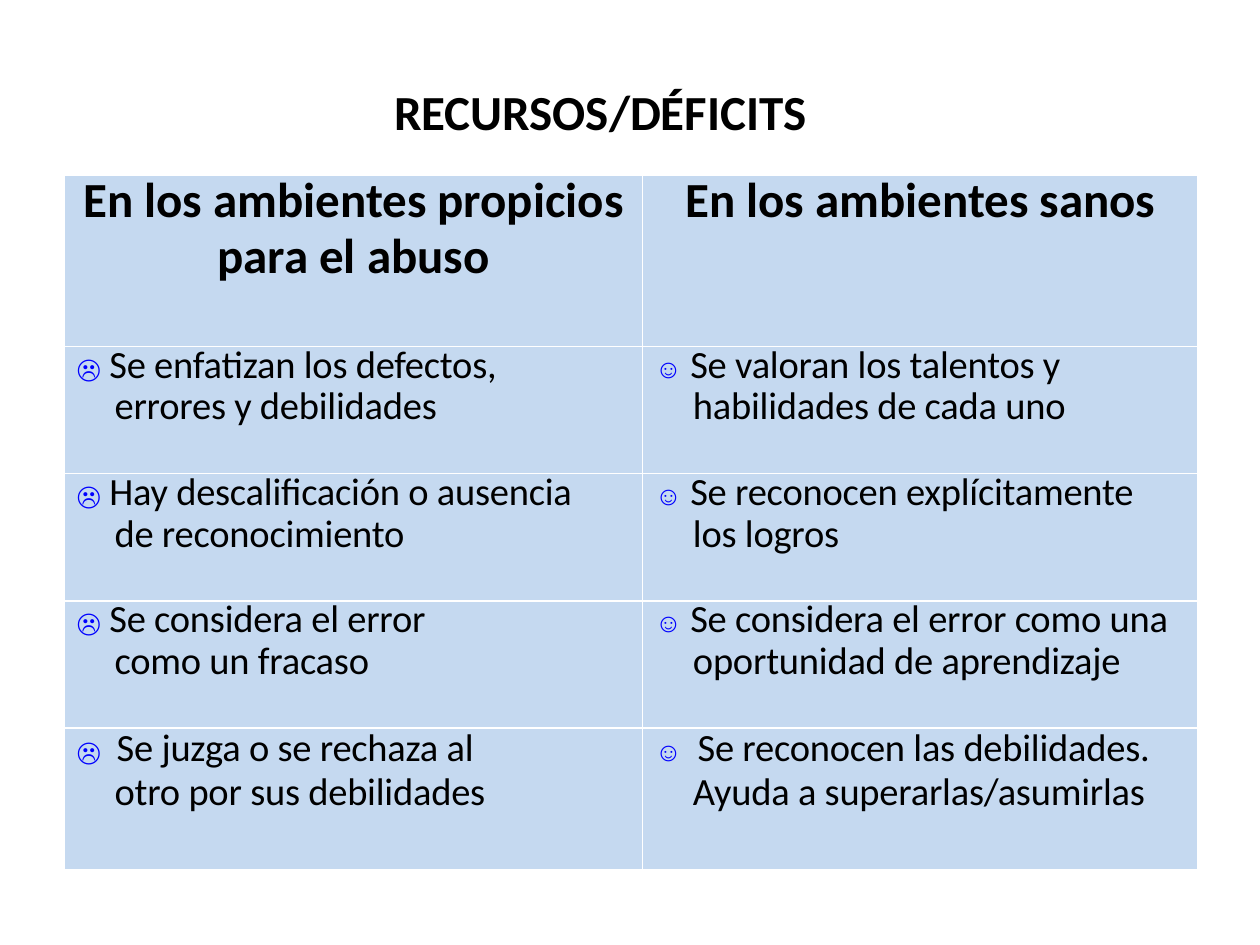
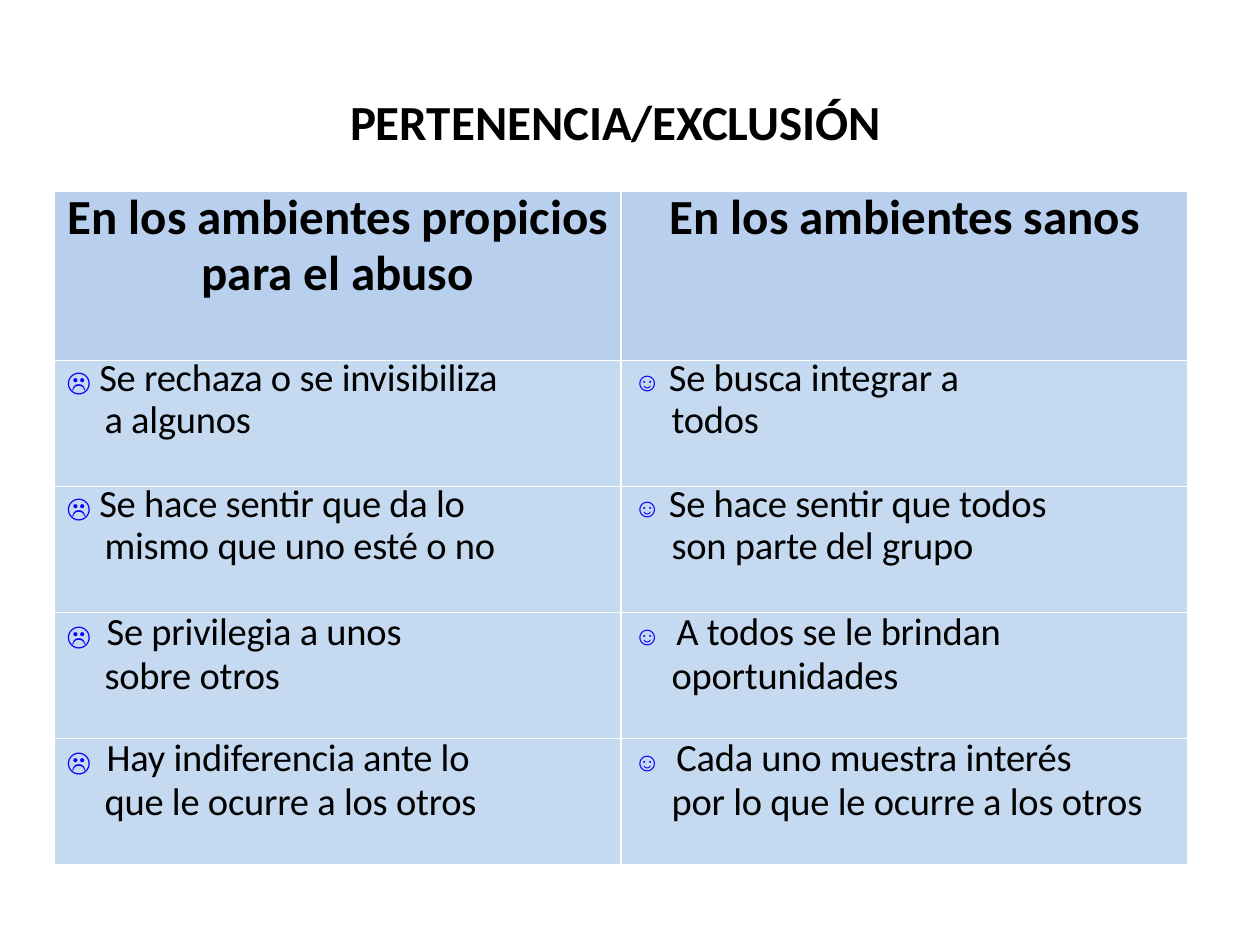
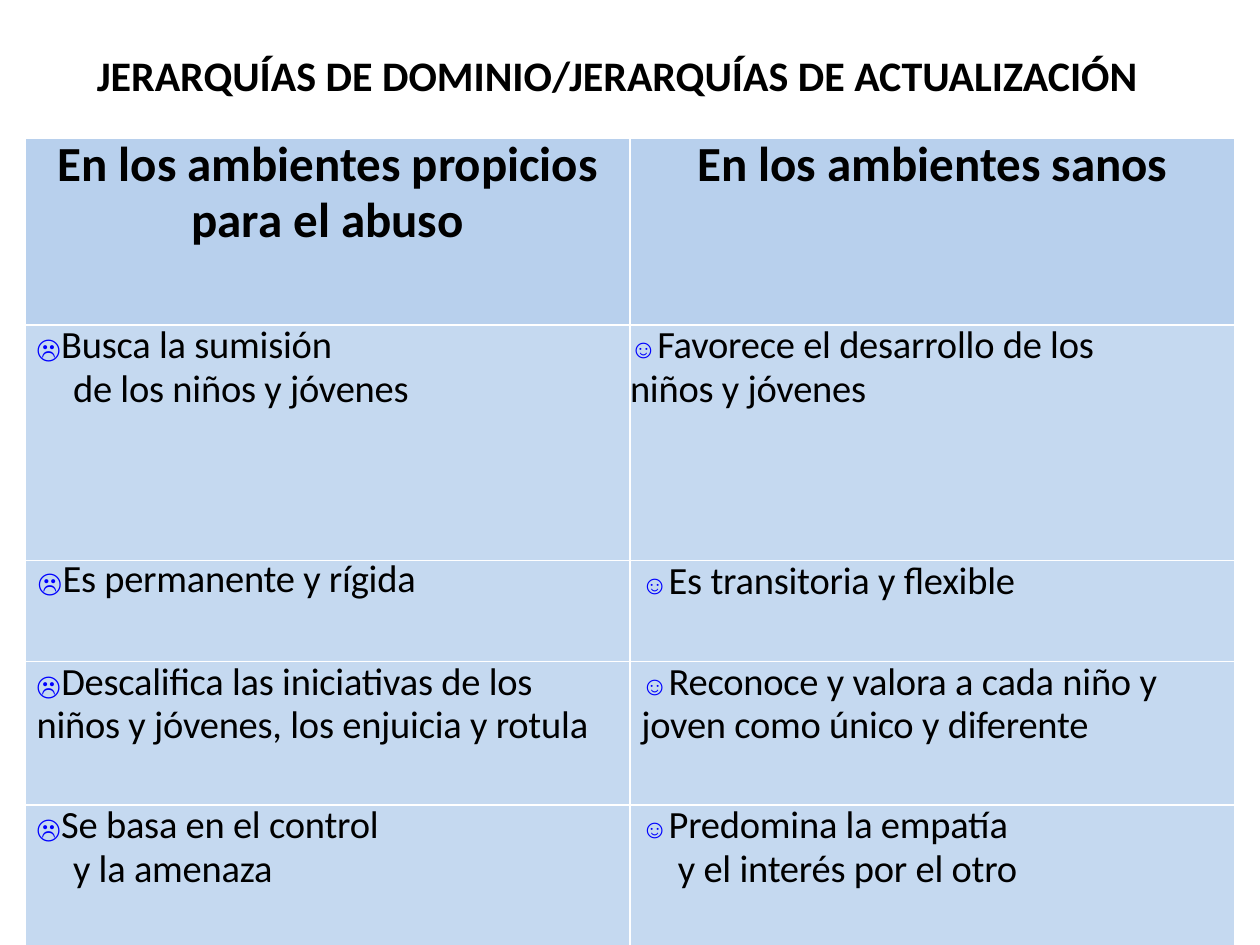
"""Builds three slides that compare abusive and healthy environments in tables."""
from dataclasses import dataclass

import pptx
import pptx.dml.color
import pptx.enum.text
import pptx.oxml
import pptx.oxml.ns
import pptx.util

Inches, Pt = pptx.util.Inches, pptx.util.Pt
RGBColor = pptx.dml.color.RGBColor
ALIGN = pptx.enum.text.PP_ALIGN

BLACK = RGBColor(0x00, 0x00, 0x00)
WHITE = RGBColor(0xFF, 0xFF, 0xFF)
ICON_BLUE = RGBColor(0x00, 0x00, 0xFF)
PALE_BLUE = RGBColor(0xC5, 0xD9, 0xF0)
HEADER_BLUE = RGBColor(0xB8, 0xD0, 0xED)

HEADERS = ("En los ambientes propicios para el abuso", "En los ambientes sanos")
ICONS = ("☹", "☺")


@dataclass
class CellStyle:
    """Indents in inches, line pitch in points, and the gap after the icon."""
    first: float
    rest: float
    line: float = 25.1
    space: str = ""
    tracking: float = 0.3


TIGHT = CellStyle(0.1, 0.4, 23.9, " ")
LOOSE = CellStyle(0.1, 0.4, 25.1, " ", 2.4)
CLOSE = CellStyle(0.1, 0.4, 23.9)
DEEP = CellStyle(0.09, 0.38)
FLAT = CellStyle(0.09, 0.09)
EDGE = CellStyle(0, 0)

SLIDES = [
    dict(
        title="RECURSOS/DÉFICITS", title_box=(3.03, 0.6, 3.62, 0.57),
        title_size=28, title_align=ALIGN.LEFT,
        origin=(0.51, 1.39), widths=(4.59, 4.41), header=(1.36, PALE_BLUE),
        rows=[
            (1.01, (TIGHT, "Se enfatizan los defectos,\nerrores y debilidades"),
             (TIGHT, "Se valoran los talentos y\nhabilidades de cada uno")),
            (1.01, (TIGHT, "Hay descalificación o ausencia\nde reconocimiento"),
             (TIGHT, "Se reconocen explícitamente\nlos logros")),
            (1.01, (TIGHT, "Se considera el error\ncomo un fracaso"),
             (TIGHT, "Se considera el error como una\noportunidad de aprendizaje")),
            (1.12, (LOOSE, "Se juzga o se rechaza al\notro por sus debilidades"),
             (LOOSE, "Se reconocen las debilidades.\nAyuda a superarlas/asumirlas")),
        ]),
    dict(
        title="PERTENENCIA/EXCLUSIÓN", title_box=(2.01, 0.68, 5.75, 0.57),
        title_size=28, title_align=ALIGN.CENTER,
        origin=(0.43, 1.52), widths=(4.5, 4.5), header=(1.34, HEADER_BLUE),
        rows=[
            (1, (TIGHT, "Se rechaza o se invisibiliza\na algunos"),
             (TIGHT, "Se busca integrar a\ntodos")),
            (1, (TIGHT, "Se hace sentir que da lo\nmismo que uno esté o no"),
             (TIGHT, "Se hace sentir que todos\nson parte del grupo")),
            (1, (LOOSE, "Se privilegia a unos\nsobre otros"),
             (LOOSE, "A todos se le brindan\noportunidades")),
            (1, (LOOSE, "Hay indiferencia ante lo\nque le ocurre a los otros"),
             (LOOSE, "Cada uno muestra interés\npor lo que le ocurre a los otros")),
        ]),
    dict(
        title="JERARQUÍAS DE DOMINIO/JERARQUÍAS DE ACTUALIZACIÓN",
        title_box=(0.67, 0.34, 9.42, 0.5),
        title_size=24, title_align=ALIGN.LEFT,
        origin=(0.2, 1.1), widths=(4.8, 4.8), header=(1.48, HEADER_BLUE),
        rows=[
            (1.87, (DEEP, "Busca la sumisión\nde los niños y jóvenes"),
             (EDGE, "Favorece el desarrollo de los\nniños y jóvenes")),
            (0.8, (CLOSE, "Es permanente y rígida"),
             (FLAT, "Es transitoria y flexible")),
            (1.14, (FLAT, "Descalifica las iniciativas de los\n"
                          "niños y jóvenes, los enjuicia y rotula"),
             (FLAT, "Reconoce y valora a cada niño y\njoven como único y diferente")),
            (1.13, (DEEP, "Se basa en el control\ny la amenaza"),
             (DEEP, "Predomina la empatía\ny el interés por el otro")),
        ]),
]


def add_text(p, text, size=22, font="Calibri", color=BLACK, bold=False, tracking=0):
    """Adds text to a paragraph, with a line break at each newline."""
    for i, line in enumerate(text.split("\n")):
        if i:
            p.add_line_break()
        r = p.add_run()
        r.text = line
        r.font.size, r.font.name, r.font.bold = Pt(size), font, bold
        r.font.color.rgb = color
        if tracking:
            r._r.get_or_add_rPr().set("spc", str(round(tracking * 100)))


def format_cell(cell, fill):
    """Gives a cell white borders, a fill and no margins."""
    cell.margin_left = cell.margin_right = cell.margin_top = cell.margin_bottom = 0
    tcPr = cell._tc.get_or_add_tcPr()
    for side in ("lnL", "lnR", "lnT", "lnB"):
        tcPr.append(pptx.oxml.parse_xml(
            f'<a:{side} {pptx.oxml.ns.nsdecls("a")} w="{Pt(1)}"><a:solidFill>'
            f'<a:srgbClr val="{WHITE}"/></a:solidFill></a:{side}>'))
    cell.fill.solid()
    cell.fill.fore_color.rgb = fill


def fill_header(cell, text):
    """Writes a centred column heading."""
    p = cell.text_frame.paragraphs[0]
    p.alignment, p.line_spacing = ALIGN.CENTER, Pt(32)
    add_text(p, text, size=28, bold=True)


def fill_body(cell, icon, style, text):
    """Writes an icon and a statement with a hanging indent."""
    p = cell.text_frame.paragraphs[0]
    p.line_spacing = Pt(style.line)
    pPr = p._p.get_or_add_pPr()
    pPr.set("marL", str(Inches(style.rest)))
    pPr.set("indent", str(Inches(style.first) - Inches(style.rest)))
    add_text(p, icon + style.space, size=15, font="Arial", color=ICON_BLUE,
             tracking=style.tracking)
    add_text(p, text, tracking=-0.1)


def add_comparison(s, origin, widths, header, rows):
    """Adds the two-column comparison table."""
    heights = [header[0]] + [row[0] for row in rows]
    size = (sum(widths), sum(heights))
    table = s.shapes.add_table(len(heights), len(widths),
                               *map(Inches, origin + size)).table
    table.first_row = table.horz_banding = False
    for row, height in zip(table.rows, heights):
        row.height = Inches(height)
    for c, width in enumerate(widths):
        table.columns[c].width = Inches(width)
        format_cell(table.cell(0, c), header[1])
        fill_header(table.cell(0, c), HEADERS[c])
        for n, row in enumerate(rows, 1):
            format_cell(table.cell(n, c), PALE_BLUE)
            fill_body(table.cell(n, c), ICONS[c], *row[c + 1])


def add_title(s, text, box, size, align):
    """Adds the slide title."""
    tf = s.shapes.add_textbox(*map(Inches, box)).text_frame
    tf.word_wrap = True
    p = tf.paragraphs[0]
    p.alignment = align
    add_text(p, text, size=size, bold=True)


def main():
    """Builds and saves the slides."""
    prs = pptx.Presentation()
    prs.slide_width, prs.slide_height = Inches(10), Inches(7.5)
    for data in SLIDES:
        s = prs.slides.add_slide(prs.slide_layouts[6])
        add_comparison(s, data["origin"], data["widths"], data["header"], data["rows"])
        add_title(s, data["title"], data["title_box"], data["title_size"],
                  data["title_align"])
    prs.save("out.pptx")


if __name__ == "__main__":
    main()
